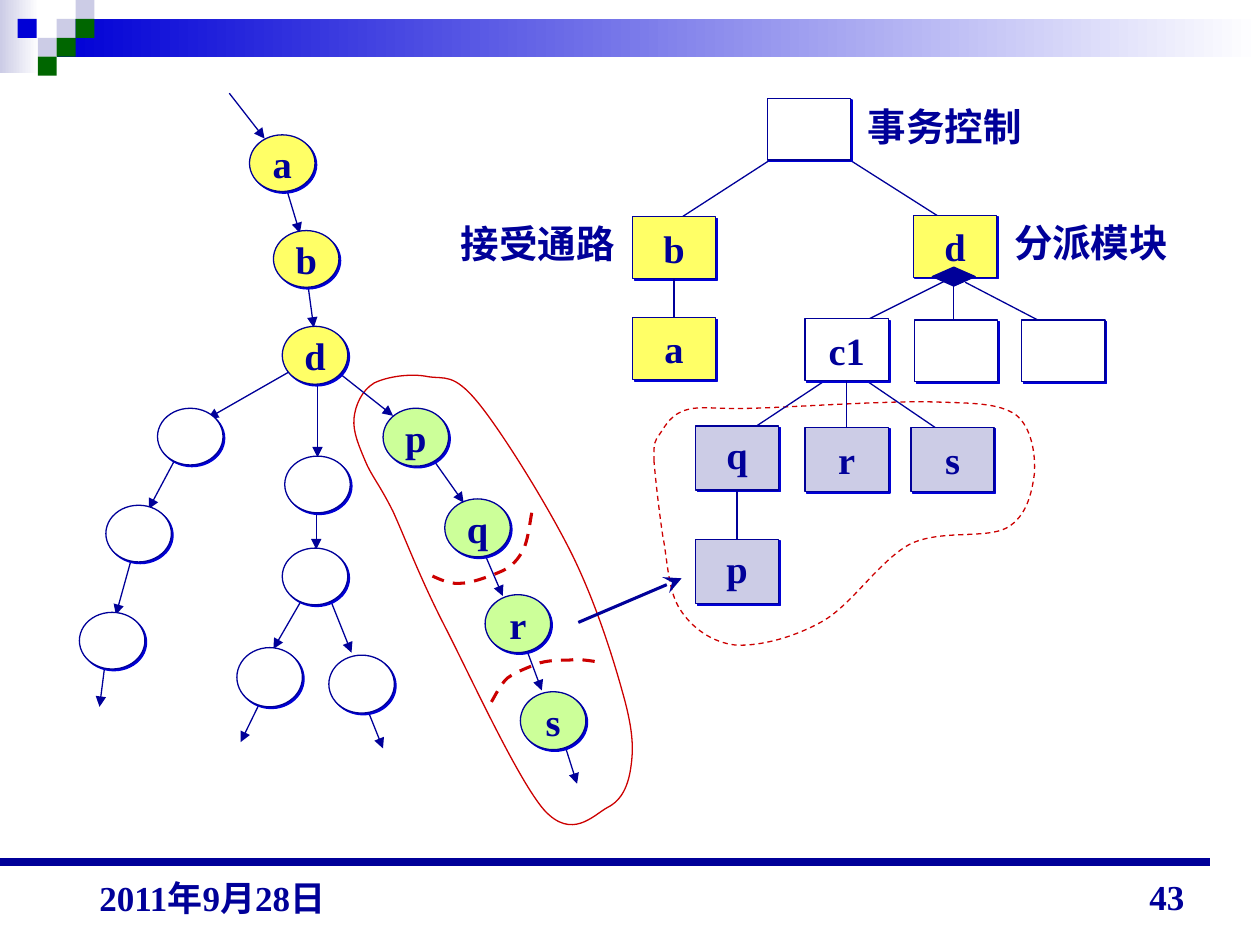
from dataclasses import dataclass
from typing import Optional, Union

from lxml import etree
from pptx import Presentation
from pptx.dml.color import RGBColor
from pptx.enum.dml import MSO_LINE
from pptx.enum.shapes import MSO_CONNECTOR, MSO_SHAPE
from pptx.enum.text import MSO_ANCHOR, MSO_AUTO_SIZE, PP_ALIGN
from pptx.oxml.ns import qn
from pptx.shapes.autoshape import Shape
from pptx.shapes.connector import Connector
from pptx.shapes.shapetree import GroupShapes, SlideShapes
from pptx.util import Pt

PX = 9144  # EMU per px, 100 px to the inch
RECT, OVAL, DIAMOND = MSO_SHAPE.RECTANGLE, MSO_SHAPE.OVAL, MSO_SHAPE.DIAMOND
STRAIGHT, DASH = MSO_CONNECTOR.STRAIGHT, MSO_LINE.DASH
LEFT, CENTER, RIGHT = PP_ALIGN.LEFT, PP_ALIGN.CENTER, PP_ALIGN.RIGHT
TOP, MIDDLE, BOTTOM = MSO_ANCHOR.TOP, MSO_ANCHOR.MIDDLE, MSO_ANCHOR.BOTTOM
GROW = MSO_AUTO_SIZE.SHAPE_TO_FIT_TEXT
TOP_SIDE, BOTTOM_SIDE = 0, 2

Shapes = Union[SlideShapes, GroupShapes]
Point = tuple[int, int]


@dataclass(frozen=True)
class Theme:
    font: str = "Times New Roman"
    ink: str = "000099"
    blue: str = "0000D6"
    green: str = "006600"
    red: str = "CC0000"
    lilac: str = "CCCCE6"
    yellow: str = "FFFF66"
    lime: str = "CCFF99"
    white: str = "FFFFFF"
    label: int = 22
    footer: int = 20
    thin: float = 0.75
    medium: float = 1.75
    thick: float = 4.5


T = Theme()


@dataclass(frozen=True)
class Node:
    x: int
    y: int
    text: str = ""
    fill: str = T.white
    w: int = 52
    h: int = 46
    kind: int = OVAL
    spacing: Optional[float] = None


@dataclass(frozen=True)
class Curve:
    """A chain of cubic Bezier pieces: a start, then three points a piece."""
    points: list[Point]
    width: float = T.thin
    dashed: bool = False
    closed: bool = False


def box(x: int, y: int, text: str = "", fill: str = T.white,
        h: int = 49, spacing: Optional[float] = None) -> Node:
    return Node(x, y, text, fill, 66, h, RECT, spacing)


FLOW_ARROWS = [
    (182, 74, 210, 110), (228, 152, 238, 185), (244, 223, 249, 260), (269, 296, 312, 330),
    (339, 358, 368, 399), (384, 438, 399, 473), (417, 513, 430, 548), (444, 578, 458, 622),
    (252, 300, 252, 363), (251, 390, 251, 436), (243, 470, 217, 515), (259, 468, 279, 518),
    (284, 544, 304, 594), (211, 548, 191, 589), (235, 292, 165, 332), (142, 359, 118, 404),
    (105, 441, 92, 488), (84, 522, 79, 561)]
FLOW_NODES = [
    Node(198, 107, "a", T.yellow, h=45), Node(217, 183, "b", T.yellow, h=45),
    Node(224, 259, "d", T.yellow), Node(304, 324, "p", T.lime), Node(353, 396, "q", T.lime),
    Node(385, 472, "r", T.lime), Node(413, 549, "s", T.lime), Node(226, 362, h=45),
    Node(224, 435, h=45), Node(188, 514, h=47), Node(261, 520), Node(125, 324, h=45),
    Node(84, 401, h=45), Node(63, 486, h=45)]
MODULE_LINES = [(540, 173, 622, 120), (665, 121, 750, 175), (664, 296, 593, 343),
                (680, 297, 755, 348), (757, 215, 757, 266), (752, 222, 680, 258),
                (766, 224, 841, 263)]
MODULES = {
    "control": box(609, 78), "accept": box(502, 172, "b", T.yellow),
    "a": box(502, 252, "a", T.yellow), "c1": box(639, 253, "c1"),
    "c2": box(726, 254), "c3": box(811, 254), "dispatch": box(725, 171, "d", T.yellow),
    "q": box(552, 338, "q", T.lilac, 51, 0.85), "r": box(639, 339, "r", T.lilac, 51),
    "s": box(723, 339, "s", T.lilac, 51), "p": box(552, 428, "p", T.lilac, 51, 0.85)}
MODULE_JOINS = [("accept", "a"), ("c1", "r"), ("q", "p")]
LABELS = [("分派模块", 795, 169), ("事务控制", 679, 77), ("接受通路", 356, 170)]
SQUARES = [(45, 15, T.lilac), (60, 0, T.lilac), (60, 15, T.green), (30, 30, T.lilac),
           (14, 15, T.blue), (45, 30, T.green), (30, 45, T.green)]
MODULE_REGION = Curve([
    (519, 365), (520, 378), (523, 405), (526, 425), (530, 445), (530, 469), (540, 484),
    (549, 498), (565, 510), (584, 512), (603, 513), (630, 506), (653, 493),
    (676, 480), (698, 445), (722, 432), (746, 420), (782, 428), (799, 419),
    (815, 410), (819, 391), (821, 376), (822, 361), (819, 339), (806, 329),
    (792, 320), (774, 320), (740, 319), (705, 318), (631, 323), (599, 324),
    (566, 325), (558, 322), (546, 325), (533, 328), (528, 338), (524, 344),
    (519, 351), (519, 351), (519, 365)], dashed=True, closed=True)
FLOW_REGION = Curve([
    (312, 406), (301, 384), (295, 378), (290, 366), (285, 354), (280, 343), (281, 332),
    (282, 322), (287, 310), (297, 304), (307, 299), (326, 296), (340, 299),
    (353, 301), (360, 296), (379, 319), (398, 342), (434, 400), (453, 438),
    (472, 476), (486, 520), (494, 549), (502, 577), (503, 592), (501, 607),
    (499, 623), (494, 635), (482, 641), (471, 647), (454, 667), (432, 643),
    (411, 619), (373, 536), (353, 497), (333, 458), (322, 428), (312, 406)], closed=True)
CUTS = [
    Curve([(422, 407), (420, 418), (419, 429), (415, 437), (411, 444), (407, 449), (399, 453),
           (390, 457), (374, 463), (365, 463), (355, 464), (344, 457), (340, 456)],
          T.medium, dashed=True),
    Curve([(472, 525), (465, 524), (459, 523), (451, 524), (444, 524), (437, 524), (429, 526),
           (421, 529), (410, 533), (403, 538), (396, 544), (391, 557), (388, 560)],
          T.medium, dashed=True)]


def rgb(value: str) -> RGBColor:
    return RGBColor.from_string(value)


def set_all(target: object, **values: object) -> None:
    for name, value in values.items():
        setattr(target, name, value)


def write(sp: Shape, text: str, size: int, align: int, anchor: int, wrap: bool = False,
          spacing: Optional[float] = None, fit: Optional[int] = None) -> None:
    tf = sp.text_frame
    set_all(tf, word_wrap=wrap, vertical_anchor=anchor, auto_size=fit)
    p = tf.paragraphs[0]
    set_all(p, alignment=align, line_spacing=spacing)
    r = p.add_run()
    r.text = text
    set_all(r.font, name=T.font, size=Pt(size), bold=True)
    r.font.color.rgb = rgb(T.ink)


def add_text(shapes: Shapes, x: int, y: int, w: int, h: int, *args: object) -> None:
    write(shapes.add_textbox(x * PX, y * PX, w * PX, h * PX), *args)


def add_shape(shapes: Shapes, kind: int, x: int, y: int, w: int, h: int, fill: str,
              line: Optional[str] = None, gradient: bool = False) -> Shape:
    sp = shapes.add_shape(kind, x * PX, y * PX, w * PX, h * PX)
    sp.shadow.inherit = False
    if gradient:
        sp.fill.gradient()
        sp.fill.gradient_angle = 180
        for stop, color in zip(sp.fill.gradient_stops, (T.white, fill)):
            stop.color.rgb = rgb(color)
    else:
        sp.fill.solid()
        sp.fill.fore_color.rgb = rgb(fill)
    if line:
        sp.line.color.rgb = rgb(line)
        sp.line.width = Pt(T.thin)
    else:
        sp.line.fill.background()
    return sp


def add_node(shapes: Shapes, n: Node) -> Shape:
    """Draw a filled outline with a hard blue shadow to the lower right."""
    sp = add_shape(shapes, n.kind, n.x, n.y, n.w, n.h, n.fill, T.ink)
    effects = sp._element.spPr.find(qn("a:effectLst"))
    shadow = etree.SubElement(effects, qn("a:outerShdw"), dist=str(Pt(1.4)), dir="2700000",
                              algn="ctr", rotWithShape="0")
    etree.SubElement(shadow, qn("a:srgbClr"), val=T.blue)
    if n.text:
        write(sp, n.text, T.label, CENTER, MIDDLE, False, n.spacing)
    return sp


def add_line(shapes: Shapes, x1: int, y1: int, x2: int, y2: int, width: float = T.thin,
             head: Optional[str] = None, head_size: str = "med") -> Connector:
    cx = shapes.add_connector(STRAIGHT, x1 * PX, y1 * PX, x2 * PX, y2 * PX)
    cx.line.color.rgb = rgb(T.ink)
    cx.line.width = Pt(width)
    if head:
        etree.SubElement(cx.line._get_or_add_ln(), qn("a:tailEnd"), type=head,
                         w=head_size, len=head_size)
    etree.SubElement(cx._element.spPr, qn("a:effectLst"))
    return cx


def add_curve(shapes: Shapes, curve: Curve) -> None:
    """Build the outline from its points, then join each three into one Bezier piece."""
    start, *rest = curve.points
    builder = shapes.build_freeform(*start, scale=PX)
    builder.add_line_segments(rest, close=curve.closed)
    sp = builder.convert_to_shape()
    segments = list(sp._element.iter(qn("a:lnTo")))
    for first, *others in zip(segments[::3], segments[1::3], segments[2::3]):
        first.tag = qn("a:cubicBezTo")
        for segment in others:
            first.append(segment[0])
            segment.getparent().remove(segment)
    sp.shadow.inherit = False
    if curve.closed:
        sp.fill.solid()
        sp.fill.fore_color.rgb = rgb(T.white)
    else:
        sp.fill.background()
    sp.line.color.rgb = rgb(T.red)
    sp.line.width = Pt(curve.width)
    if curve.dashed:
        sp.line.dash_style = DASH


def add_banner(shapes: Shapes) -> None:
    add_shape(shapes, RECT, 0, 0, 31, 58, T.lilac, gradient=True)
    add_shape(shapes, RECT, 45, 15, 955, 30, T.blue, gradient=True)
    for x, y, color in SQUARES:
        add_shape(shapes, RECT, x, y, 15, 15, color)


def add_modules(shapes: Shapes) -> None:
    for ends in MODULE_LINES:
        add_line(shapes, *ends)
    drawn = {name: add_node(shapes, node) for name, node in MODULES.items()}
    for upper, lower in MODULE_JOINS:
        cx = add_line(shapes, 0, 0, 0, 0)
        cx.begin_connect(drawn[upper], BOTTOM_SIDE)
        cx.end_connect(drawn[lower], TOP_SIDE)
    add_shape(shapes, DIAMOND, 740, 212, 34, 15, T.ink, T.ink)
    for text, x, y in LABELS:
        add_text(shapes, x, y, 142, 47, text, T.label, LEFT, TOP, False, None, GROW)


def main() -> None:
    prs = Presentation()
    set_all(prs, slide_width=1000 * PX, slide_height=750 * PX)
    shapes = prs.slides.add_slide(prs.slide_layouts[6]).shapes
    add_banner(shapes.add_group_shape().shapes)
    add_line(shapes, 0, 684, 960, 684, T.thick)
    for region in (MODULE_REGION, FLOW_REGION):
        add_curve(shapes, region)
    flow = shapes.add_group_shape().shapes
    for ends in FLOW_ARROWS:
        add_line(flow, *ends, head="triangle")
    for node in FLOW_NODES:
        add_node(flow, node)
    add_modules(shapes.add_group_shape().shapes)
    for cut in CUTS:
        add_curve(shapes, cut)
    add_line(shapes, 459, 494, 541, 459, T.medium, "stealth", "lg")
    add_text(shapes, 717, 683, 233, 50, "43", T.footer, RIGHT, BOTTOM, True)
    add_text(shapes, 69, 682, 233, 52, "2011年9月28日", T.footer, LEFT, BOTTOM, True)
    prs.save("out.pptx")


if __name__ == "__main__":
    main()
